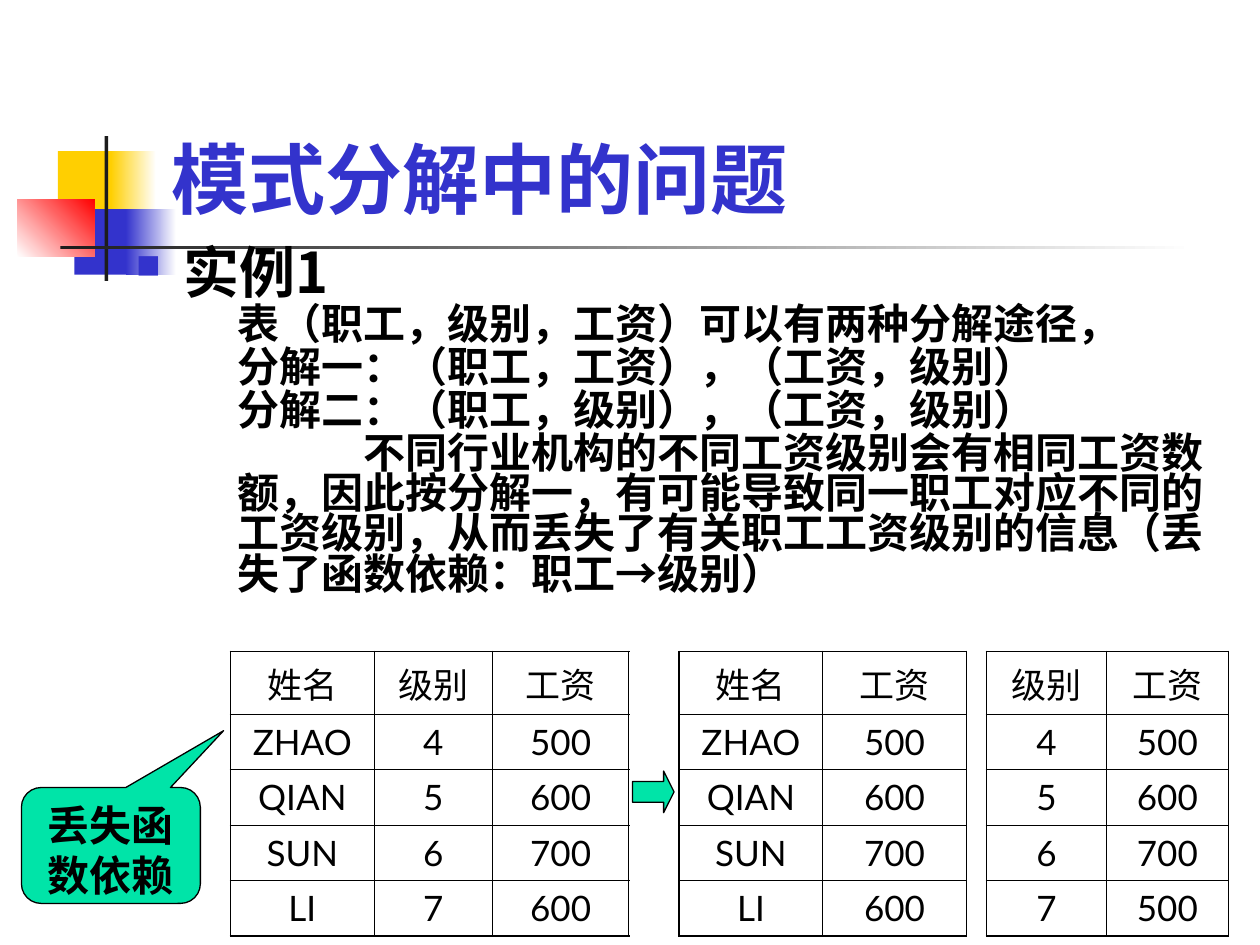
from lxml import etree
from pptx import Presentation
from pptx.dml.color import RGBColor
from pptx.enum.shapes import MSO_SHAPE
from pptx.enum.text import MSO_ANCHOR, MSO_AUTO_SIZE, PP_ALIGN
from pptx.oxml.ns import qn
from pptx.util import Inches, Pt

COLORS = {
    "yellow": "FFCF01",
    "blue": "3333CC",
    "red": "FF0000",
    "dark": "1C1C1C",
    "white": "FFFFFF",
    "black": "000000",
    "green": "00E4A8",
}
DECORATION = [
    (0.46, 1.2, 0.48, 0.52, ["yellow"], 0),
    (0.88, 1.2, 0.36, 0.52, ["yellow", "white"], 0),
    (0.59, 1.66, 0.46, 0.52, ["blue"], 0),
    (1, 1.66, 0.4, 0.52, ["blue", "white"], 0),
    (0.14, 1.58, 0.61, 0.46, ["white", "red"], 45),
    (0.83, 1.08, 0.03, 1.15, ["dark"], 0),
    (0.48, 1.95, 9, 0.03, ["dark", "white"], 0),
]
DETAILS = [
    (["表（职工，级别，工资）可以有两种分解途径，"], 0),
    (["分解一：（职工，工资），（工资，级别）"], 0),
    (["分解二：（职工，级别），（工资，级别）"], 0),
    (["不同行业机构的不同工资级别会有相同工资数额，因此按分解一，"
      "有可能导致同一职工对应不同的工资级别，从而丢失了有关职工"
      "工资级别的信息（丢失了函数依赖：职工", "→", "级别）"], 1),
]
NAMES = ["姓名", "ZHAO", "QIAN", "SUN", "LI"]
LEVELS = ["级别", "4", "5", "6", "7"]
PAY = ["工资", "500", "600", "700", "600"]
LEVEL_PAY = ["工资", "500", "600", "700", "500"]
THIN, THICK = 0.45, 1.08


def rgb(name):
    return RGBColor.from_string(COLORS[name])


def style_font(font, face, size, color="black", bold=False):
    font.name = face
    font.size = Pt(size)
    font.bold = bold
    font.color.rgb = rgb(color)


def add_figure(slide, preset, left, top, width, height):
    figure = slide.shapes.add_shape(
        preset, Inches(left), Inches(top), Inches(width), Inches(height))
    figure.shadow.inherit = False
    return figure


def add_block(slide, left, top, width, height, colors, angle):
    block = add_figure(slide, MSO_SHAPE.RECTANGLE, left, top, width, height)
    block.line.fill.background()
    if len(colors) == 1:
        block.fill.solid()
        block.fill.fore_color.rgb = rgb(colors[0])
        return
    block.fill.gradient()
    block.fill.gradient_angle = angle
    for stop, color, position in zip(block.fill.gradient_stops, colors, (0, 1)):
        stop.color.rgb = rgb(color)
        stop.position = position


def add_outlined(slide, preset, left, top, width, height, adjustments):
    figure = add_figure(slide, preset, left, top, width, height)
    for index, value in enumerate(adjustments):
        figure.adjustments[index] = value
    figure.fill.solid()
    figure.fill.fore_color.rgb = rgb("green")
    figure.line.color.rgb = rgb("black")
    figure.line.width = Pt(0.75)
    return figure


def place_title(slide):
    title = slide.shapes.title
    title.left, title.top = Inches(1.26), Inches(0.23)
    title.width, title.height = Inches(8.52), Inches(1.6)
    frame = title.text_frame
    frame.text = "模式分解中的问题"
    frame.vertical_anchor = MSO_ANCHOR.BOTTOM
    frame.auto_size = MSO_AUTO_SIZE.NONE
    heading = frame.paragraphs[0]
    heading.alignment = PP_ALIGN.LEFT
    style_font(heading.font, "Lato", 44, "blue", True)
    title.element.getparent().append(title.element)


def indent(paragraph, left, first):
    properties = paragraph._p.get_or_add_pPr()
    properties.set("marL", str(Inches(left)))
    properties.set("indent", str(Inches(first)))
    return properties


def add_square_bullet(properties):
    color = etree.SubElement(properties, qn("a:buClr"))
    etree.SubElement(color, qn("a:srgbClr"), val=COLORS["blue"])
    etree.SubElement(properties, qn("a:buSzPct"), val="60000")
    etree.SubElement(properties, qn("a:buChar"), char="■")


def add_body(slide):
    body = slide.shapes.add_textbox(
        Inches(0.98), Inches(1.94), Inches(8.81), Inches(3.07))
    frame = body.text_frame
    frame.word_wrap = True
    example = frame.paragraphs[0]
    example.text = "实例1"
    example.line_spacing = 0.8
    add_square_bullet(indent(example, 0.38, -0.38))
    style_font(example.font, "Noto Sans CJK SC", 32, bold=True)
    for parts, first in DETAILS:
        detail = frame.add_paragraph()
        detail.line_spacing = 0.8
        detail.space_before = Pt(1.5)
        indent(detail, 0.81, first)
        style_font(detail.font, "Noto Sans CJK SC", 24, bold=True)
        for part in parts:
            run = detail.add_run()
            run.text = part
            if part == "→":
                run.font.name = "Arial"


def set_border(cell, side, width):
    line = etree.SubElement(
        cell._tc.get_or_add_tcPr(), qn(f"a:ln{side}"), w=str(Pt(width)))
    fill = etree.SubElement(line, qn("a:solidFill"))
    etree.SubElement(fill, qn("a:srgbClr"), val=COLORS["black"])


def add_relation(slide, left, widths, columns):
    row_count, column_count = len(columns[0]), len(columns)
    relation = slide.shapes.add_table(
        row_count, column_count, Inches(left), Inches(5.17),
        Inches(sum(widths)), Inches(2.26)).table
    relation.first_row = relation.horz_banding = False
    for row in range(row_count):
        relation.rows[row].height = Inches(0.44 if row else 0.5)
    for column, (width, values) in enumerate(zip(widths, columns)):
        relation.columns[column].width = Inches(width)
        for row, value in enumerate(values):
            cell = relation.cell(row, column)
            cell.text = value
            entry = cell.text_frame.paragraphs[0]
            entry.alignment = PP_ALIGN.CENTER
            style_font(entry.font, "Lato", 20)
            outer = {"L": column == 0, "R": column == column_count - 1,
                     "T": row == 0, "B": row == row_count - 1}
            for side, is_outer in outer.items():
                set_border(cell, side, THICK if is_outer else THIN)
            cell.fill.background()


def add_callout(slide):
    callout = add_outlined(slide, MSO_SHAPE.ROUNDED_RECTANGULAR_CALLOUT,
                           0.17, 6.25, 1.42, 0.92, [0.63, -0.99, 0.17])
    frame = callout.text_frame
    frame.text = "丢失函\n数依赖"
    frame.vertical_anchor = MSO_ANCHOR.TOP
    for line in frame.paragraphs:
        line.alignment = PP_ALIGN.CENTER
        style_font(line.font, "Times New Roman", 24, bold=True)


def main():
    deck = Presentation()
    deck.slide_width, deck.slide_height = Inches(10), Inches(7.5)
    slide = deck.slides.add_slide(deck.slide_layouts[5])
    for block in DECORATION:
        add_block(slide, *block)
    place_title(slide)
    add_body(slide)
    add_relation(slide, 1.83, [1.14, 0.94, 1.08], [NAMES, LEVELS, PAY])
    add_relation(slide, 5.39, [1.14, 1.14], [NAMES, PAY])
    add_relation(slide, 7.83, [0.95, 0.97], [LEVELS, LEVEL_PAY])
    add_callout(slide)
    add_outlined(slide, MSO_SHAPE.RIGHT_ARROW, 5.02, 6.12, 0.33, 0.33, [0.5, 0.25])
    deck.save("out.pptx")


if __name__ == "__main__":
    main()
